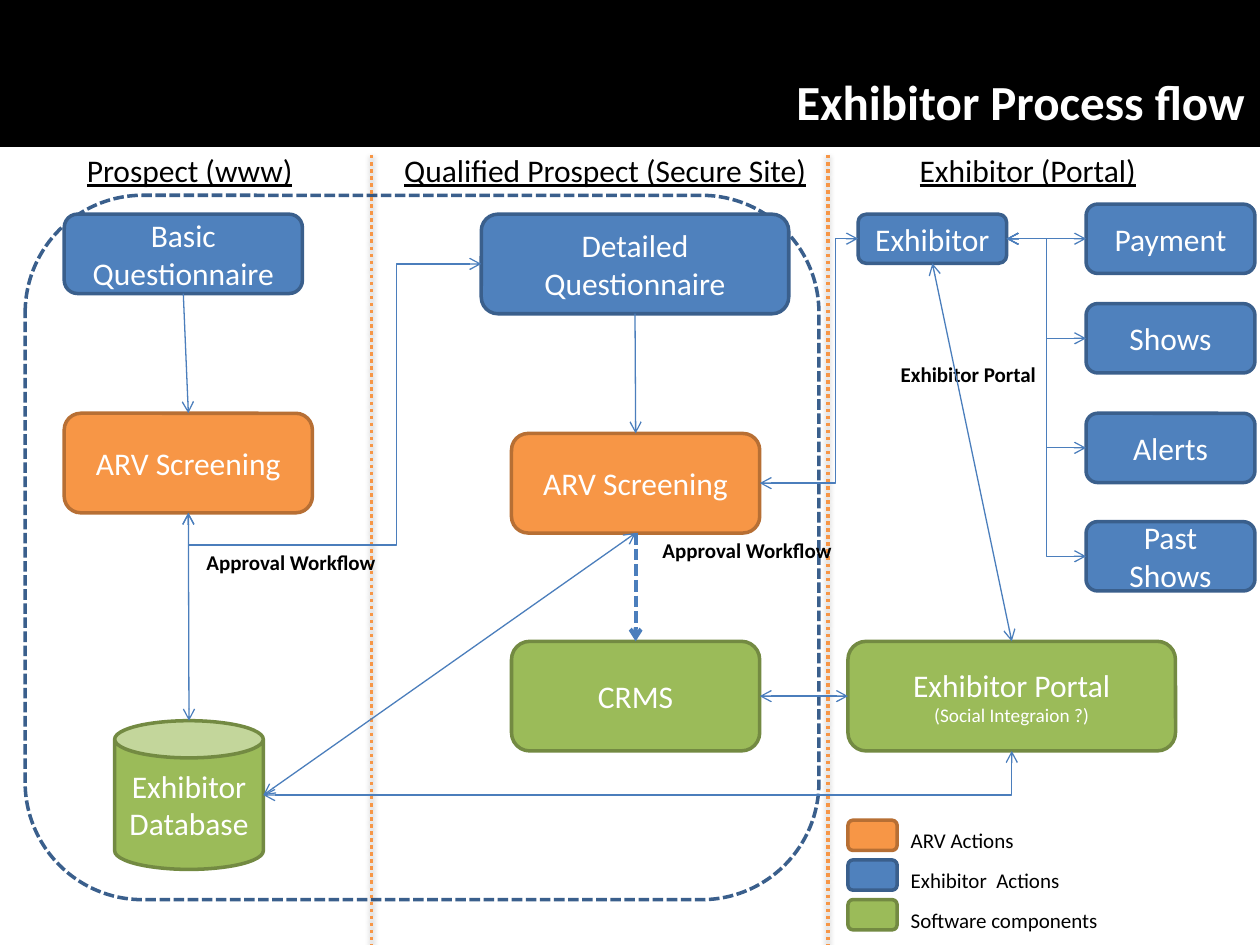
from lxml import etree
from pptx import Presentation
from pptx.dml.color import RGBColor
from pptx.enum.dml import MSO_LINE
from pptx.enum.shapes import MSO_CONNECTOR, MSO_SHAPE
from pptx.enum.text import MSO_ANCHOR, MSO_AUTO_SIZE, PP_ALIGN
from pptx.oxml.ns import qn
from pptx.util import Inches, Pt

ROUND, CAN, RECT = MSO_SHAPE.ROUNDED_RECTANGLE, MSO_SHAPE.CAN, MSO_SHAPE.RECTANGLE
STRAIGHT, ELBOW = MSO_CONNECTOR.STRAIGHT, MSO_CONNECTOR.ELBOW
DASH, DOT = MSO_LINE.SQUARE_DOT, MSO_LINE.ROUND_DOT
MIDDLE, TOP_ANCHOR = MSO_ANCHOR.MIDDLE, MSO_ANCHOR.TOP
CENTER, LEFT_ALIGN = PP_ALIGN.CENTER, PP_ALIGN.LEFT
NO_FIT = MSO_AUTO_SIZE.NONE

BLACK = RGBColor(0x00, 0x00, 0x00)
WHITE = RGBColor(0xFF, 0xFF, 0xFF)
BLUE, BLUE_EDGE = RGBColor(0x4F, 0x81, 0xBD), RGBColor(0x3A, 0x5F, 0x8C)
ORANGE, ORANGE_EDGE = RGBColor(0xF7, 0x96, 0x46), RGBColor(0xB7, 0x6F, 0x34)
GREEN, GREEN_EDGE = RGBColor(0x9B, 0xBB, 0x59), RGBColor(0x73, 0x8A, 0x42)
FLOW = RGBColor(0x4B, 0x7E, 0xBC)

# Fill and edge of each kind of step
EXHIBITOR = (BLUE, BLUE_EDGE)
ORGANISER = (ORANGE, ORANGE_EDGE)
SOFTWARE = (GREEN, GREEN_EDGE)

# Connection sites of a rectangle
TOP, LEFT, BOTTOM, RIGHT = range(4)


def style_font(p, size, color, bold=False, underline=False):
    f = p.font
    f.name, f.size, f.bold, f.underline = "Calibri", Pt(size), bold, underline
    f.color.rgb = color


def add_box(s, kind, box, fill, edge, lines=()):
    """Outlined shape with centred (text, size) lines."""
    sp = s.shapes.add_shape(kind, *map(Inches, box))
    sp.shadow.inherit = False
    if fill is None:
        sp.fill.background()
    else:
        sp.fill.solid()
        sp.fill.fore_color.rgb = fill
    sp.line.color.rgb = edge
    sp.line.width = Pt(2)
    tf = sp.text_frame
    tf.word_wrap = True
    tf.vertical_anchor = MIDDLE
    for i, (text, size) in enumerate(lines):
        p = tf.add_paragraph() if i else tf.paragraphs[0]
        p.text = text
        p.alignment = CENTER
        style_font(p, size, WHITE)
    return sp


def add_step(s, text, box, colors, kind=ROUND, note=None):
    lines = [(text, 18)] + ([(note, 11)] if note else [])
    return add_box(s, kind, box, *colors, lines)


def add_label(s, text, box, size=12, bold=False, underline=False):
    tf = s.shapes.add_textbox(*map(Inches, box)).text_frame
    tf.word_wrap = True
    p = tf.paragraphs[0]
    p.text = text
    style_font(p, size, BLACK, bold, underline)


def add_line(s, kind, begin, end, color, width, dash=None):
    """Connector without the theme shadow; returns it and its effect list."""
    c = s.shapes.add_connector(kind, *begin, *end)
    c.line.color.rgb = color
    c.line.width = Pt(width)
    if dash:
        c.line.dash_style = dash
    sp_pr = c.element.find(qn("p:spPr"))
    return c, etree.SubElement(sp_pr, qn("a:effectLst"))


def add_divider(s, x):
    effects = add_line(s, STRAIGHT, (Inches(x), Inches(1.23)),
                       (Inches(x), Inches(7.5)), ORANGE, 2, DOT)[1]
    shadow = etree.SubElement(effects, qn("a:outerShdw"), blurRad=str(Pt(3.1)),
                              dist=str(Pt(1.6)), dir="5400000", rotWithShape="0")
    color = etree.SubElement(shadow, qn("a:srgbClr"), val="000000")
    etree.SubElement(color, qn("a:alpha"), val="38000")


def site_point(sp, site):
    mid_x, mid_y = sp.left + sp.width // 2, sp.top + sp.height // 2
    return {TOP: (mid_x, sp.top), LEFT: (sp.left, mid_y),
            BOTTOM: (mid_x, sp.top + sp.height),
            RIGHT: (sp.left + sp.width, mid_y)}[site]


def quarter_turn(point, other):
    """Place of a connector end before a clockwise quarter turn."""
    cx, cy = (point[0] + other[0]) // 2, (point[1] + other[1]) // 2
    return cx + point[1] - cy, cy - point[0] + cx


def add_flow(s, start, end, both=True, kind=STRAIGHT, width=0.75, dash=None,
             preset=None, bends=(), turned=False):
    """Arrow between two (shape, site) pairs."""
    a, b = site_point(*start), site_point(*end)
    if turned:
        a, b = quarter_turn(a, b), quarter_turn(b, a)
    c, effects = add_line(s, kind, a, b, FLOW, width, dash)
    # The sites of a can are numbered differently, so its ends stay free
    if not turned and CAN not in (start[0].auto_shape_type, end[0].auto_shape_type):
        c.begin_connect(*start)
        c.end_connect(*end)
    sp_pr = effects.getparent()
    if turned:
        sp_pr.find(qn("a:xfrm")).set("rot", "5400000")
    geometry = sp_pr.find(qn("a:prstGeom"))
    if preset:
        geometry.set("prst", preset)
    guides = geometry.find(qn("a:avLst"))
    for i, bend in enumerate(bends, 1):
        name = "adj" if len(bends) == 1 and preset == "bentConnector2" else f"adj{i}"
        etree.SubElement(guides, qn("a:gd"), name=name,
                         fmla=f"val {round(bend * 100000)}")
    ln = sp_pr.find(qn("a:ln"))
    for tag in ("a:headEnd", "a:tailEnd") if both else ("a:tailEnd",):
        etree.SubElement(ln, qn(tag), type="arrow")


def add_title(s, text):
    add_box(s, RECT, (0, 0, 10, 1.15), BLACK, BLACK)
    title = s.shapes.title
    title.left, title.top, title.width, title.height = map(
        Inches, (6.22, 0.52, 3.9, 0.57))
    title.element.getparent().append(title.element)  # above the band
    tf = title.text_frame
    tf.text = text
    tf.auto_size = NO_FIT
    tf.vertical_anchor = TOP_ANCHOR
    p = tf.paragraphs[0]
    p.alignment = LEFT_ALIGN
    style_font(p, 28, WHITE, bold=True)


def main():
    prs = Presentation()
    prs.slide_width, prs.slide_height = Inches(10), Inches(7.5)
    s = prs.slides.add_slide(prs.slide_layouts[5])

    # Frame, title band and columns
    frame = add_box(s, ROUND, (0.2, 1.55, 6.3, 5.59), None, BLUE_EDGE)
    frame.line.dash_style = DASH
    add_title(s, "Exhibitor Process flow")
    for x in (2.95, 6.57):
        add_divider(s, x)
    for text, x, w in (("Prospect (www)", 0.59, 1.89),
                       ("Qualified Prospect (Secure Site)", 3.11, 3.54),
                       ("Exhibitor (Portal)", 7.2, 2.6)):
        add_label(s, text, (x, 1.15, w, 0.4), 18, underline=True)

    # Steps
    basic = add_step(s, "Basic Questionnaire", (0.51, 1.7, 1.89, 0.63), EXHIBITOR)
    first = add_step(s, "ARV Screening", (0.51, 3.28, 1.97, 0.79), ORGANISER)
    database = add_step(s, "Exhibitor Database", (0.91, 5.72, 1.18, 1.18),
                        SOFTWARE, CAN)
    detailed = add_step(s, "Detailed Questionnaire", (3.82, 1.7, 2.44, 0.79),
                        EXHIBITOR)
    second = add_step(s, "ARV Screening", (4.06, 3.44, 1.97, 0.79), ORGANISER)
    booking = add_step(s, "CRMS", (4.06, 5.09, 1.97, 0.87), SOFTWARE)
    exhibitor = add_step(s, "Exhibitor", (6.81, 1.7, 1.18, 0.39), EXHIBITOR)
    portal = add_step(s, "Exhibitor Portal", (6.73, 5.09, 2.6, 0.87), SOFTWARE,
                      note="(Social Integraion ?)")
    pages = [add_step(s, text, (8.62, y, 1.34, 0.55), EXHIBITOR)
             for text, y in (("Payment", 1.62), ("Shows", 2.41),
                             ("Alerts", 3.28), ("Past Shows", 4.14))]

    # Flow labels
    for text, x, y, w in (("Approval Workflow", 1.54, 4.31, 2.2),
                          ("Approval Workflow", 5.16, 4.22, 2.2),
                          ("Exhibitor Portal", 7.05, 2.82, 1.34)):
        add_label(s, text, (x, y, w, 0.3), bold=True)

    # Straight flows
    add_flow(s, (basic, BOTTOM), (first, TOP), both=False)
    add_flow(s, (detailed, BOTTOM), (second, TOP), both=False)
    add_flow(s, (second, BOTTOM), (booking, TOP), both=False, width=2.25, dash=DASH)
    add_flow(s, (booking, RIGHT), (portal, LEFT))
    add_flow(s, (exhibitor, BOTTOM), (portal, TOP))
    add_flow(s, (first, BOTTOM), (database, TOP))
    add_flow(s, (second, BOTTOM), (database, RIGHT))

    # Bent flows
    add_flow(s, (first, BOTTOM), (detailed, LEFT), kind=ELBOW,
             preset="bentConnector4", bends=(-0.13, 0.71), turned=True)
    add_flow(s, (second, RIGHT), (exhibitor, LEFT), kind=ELBOW, bends=(0.77,))
    for page in pages:
        add_flow(s, (exhibitor, RIGHT), (page, LEFT), kind=ELBOW, bends=(0.5,))
    add_flow(s, (portal, BOTTOM), (database, RIGHT), kind=ELBOW,
             preset="bentConnector2", turned=True)

    # Legend
    for i, (text, colors) in enumerate((("ARV Actions", ORGANISER),
                                        ("Exhibitor  Actions", EXHIBITOR),
                                        ("Software components", SOFTWARE))):
        y = 6.51 + 0.315 * i
        add_box(s, ROUND, (6.73, y, 0.39, 0.24), *colors)
        add_label(s, text, (7.13, y + 0.01, 2.8, 0.3))

    prs.save("out.pptx")


main()
